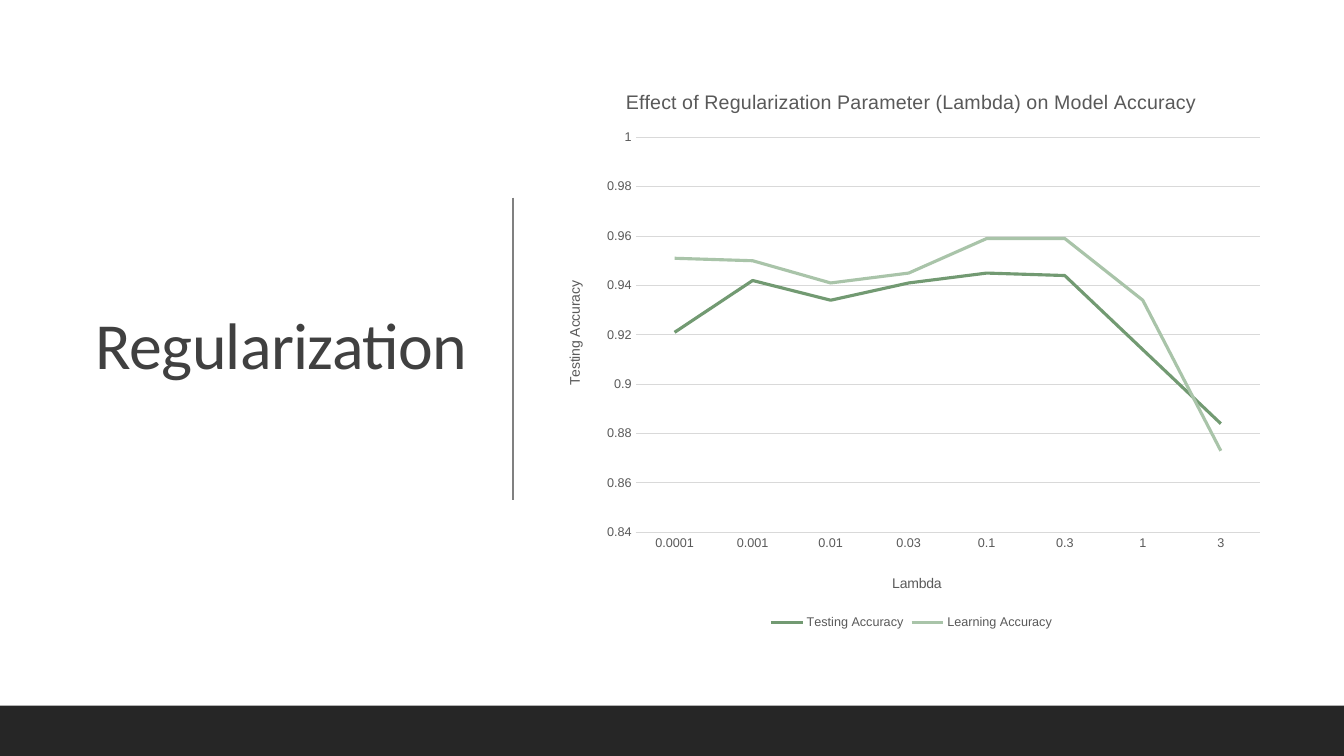
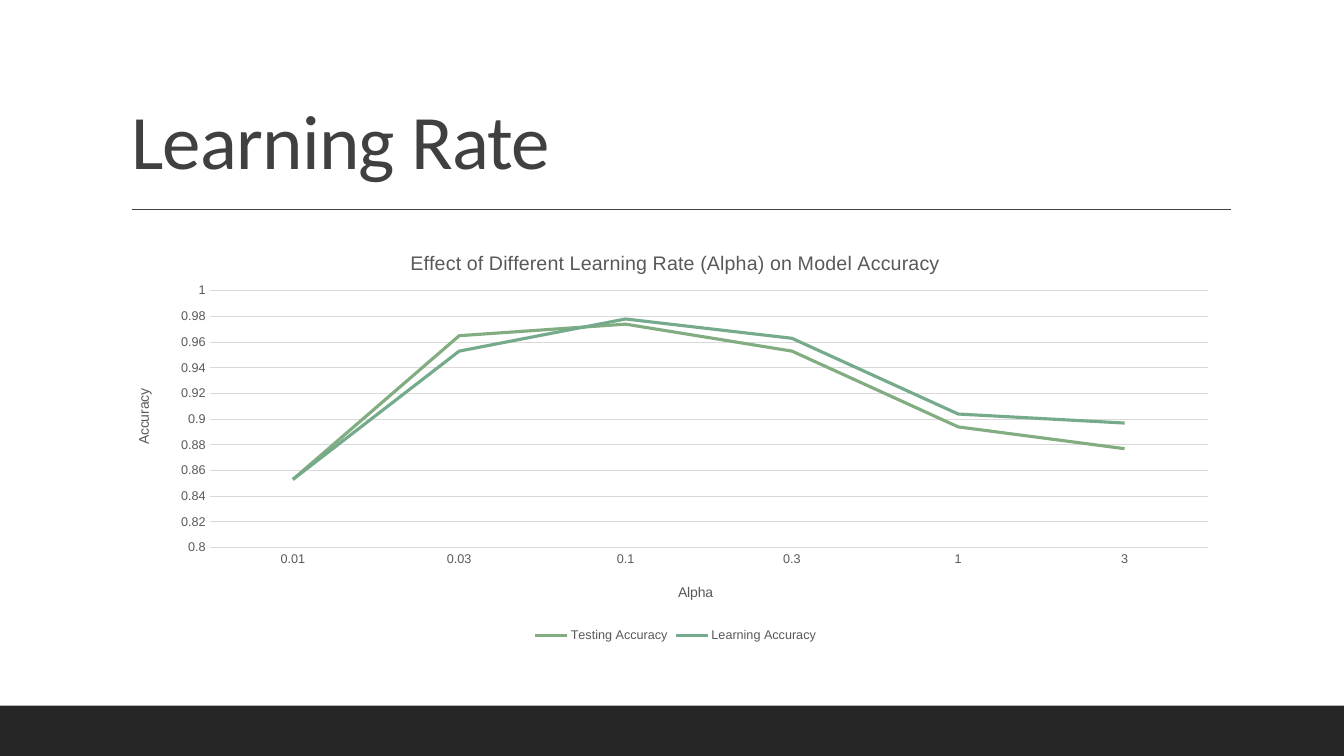
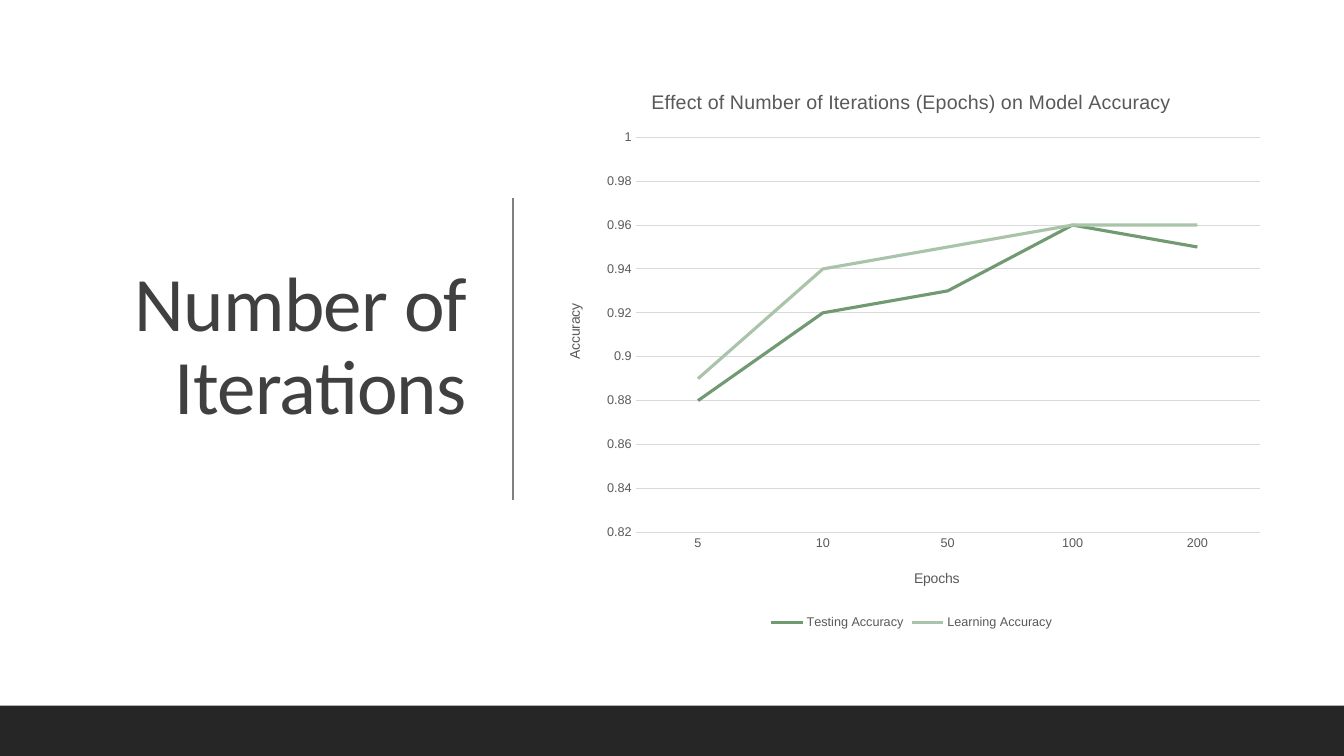
import pptx
import pptx.chart.data
import pptx.dml.color
import pptx.enum.chart
import pptx.enum.shapes
import pptx.enum.text
import pptx.oxml
import pptx.oxml.ns
import pptx.util

Inches = pptx.util.Inches
Pt = pptx.util.Pt
RGBColor = pptx.dml.color.RGBColor
qn = pptx.oxml.ns.qn
ALIGN = pptx.enum.text.PP_ALIGN
ANCHOR = pptx.enum.text.MSO_ANCHOR

INK = RGBColor(0x40, 0x40, 0x40)
RULE_GREY = RGBColor(0x80, 0x80, 0x80)
BAND = RGBColor(0x26, 0x26, 0x26)
CHART_TEXT = RGBColor(0x59, 0x59, 0x59)
GRID = RGBColor(0xD9, 0xD9, 0xD9)
FOREST = RGBColor(0x72, 0x9A, 0x72)
PALE = RGBColor(0xA9, 0xC4, 0xA9)
LEAF = RGBColor(0x81, 0xAD, 0x81)
SEA = RGBColor(0x75, 0xAB, 0x8C)

# Boxes are left, top, width, height; rules are x1, y1, x2, y2 (inches).
SIDE = {
    "title_box": (0.7, 0.69, 4.03, 5.53), "anchor": ANCHOR.MIDDLE, "align": ALIGN.RIGHT,
    "rule": (5.09, 1.96, 5.09, 4.96), "rule_color": RULE_GREY,
    "chart_box": (5.44, 0.69, 7.2, 5.6), "plot": (0.12, 0.12, 0.86, 0.7),
    "colors": (FOREST, PALE),
}
TOP = {
    "title_box": (1.2, 0.31, 11, 1.59), "anchor": ANCHOR.BOTTOM, "align": ALIGN.LEFT,
    "rule": (1.31, 2.08, 12.21, 2.08), "rule_color": INK,
    "chart_box": (1.2, 2.31, 11, 4.11), "plot": (0.08, 0.14, 0.9, 0.62),
    "colors": (LEAF, SEA),
}

# Axis titles carry their position as fractions of the chart.
SLIDES = [
    {"design": SIDE, "title": "Regularization", "size": 47,
     "chart_title": "Effect of Regularization Parameter (Lambda) on Model Accuracy",
     "x_title": ("Lambda", 0.47, 0.89), "y_title": ("Testing Accuracy", 0.02, 0.37),
     "minimum": 0.84,
     "categories": ["0.0001", "0.001", "0.01", "0.03", "0.1", "0.3", "1", "3"],
     "testing": [0.921, 0.942, 0.934, 0.941, 0.945, 0.944, 0.914, 0.884],
     "learning": [0.951, 0.95, 0.941, 0.945, 0.959, 0.959, 0.934, 0.873]},
    {"design": TOP, "title": "Learning Rate", "size": 55,
     "chart_title": "Effect of Different Learning Rate (Alpha) on Model Accuracy",
     "x_title": ("Alpha", 0.5, 0.84), "y_title": ("Accuracy", 0.01, 0.37),
     "minimum": 0.8,
     "categories": ["0.01", "0.03", "0.1", "0.3", "1", "3"],
     "testing": [0.853, 0.965, 0.974, 0.953, 0.894, 0.877],
     "learning": [0.853, 0.953, 0.978, 0.963, 0.904, 0.897]},
    {"design": SIDE, "title": "Number of Iterations", "size": 55,
     "chart_title": "Effect of Number of Iterations (Epochs) on Model Accuracy",
     "x_title": ("Epochs", 0.5, 0.88), "y_title": ("Accuracy", 0.02, 0.41),
     "minimum": 0.82,
     "categories": ["5", "10", "50", "100", "200"],
     "testing": [0.88, 0.92, 0.93, 0.96, 0.95],
     "learning": [0.89, 0.94, 0.95, 0.96, 0.96]},
]


def place_in_chart(element, **settings):
    """Give a chart part a manual layout, in fractions of the chart."""
    for old in element.findall(qn("c:layout")):
        element.remove(old)
    layout = pptx.oxml.parse_xml(
        f'<c:layout {pptx.oxml.ns.nsdecls("c")}><c:manualLayout/></c:layout>')
    for tag, value in settings.items():
        setting = layout[0].makeelement(qn(f"c:{tag}"), {"val": str(value)})
        layout[0].append(setting)
    text = element.find(qn("c:tx"))
    element.insert(0 if text is None else element.index(text) + 1, layout)


def write_chart_title(holder, text, size):
    holder.has_text_frame = True
    holder.text_frame.text = text
    font = holder.text_frame.paragraphs[0].font
    font.name, font.size, font.bold = "Arial", Pt(size), False
    font.color.rgb = CHART_TEXT


prs = pptx.Presentation()
prs.slide_width, prs.slide_height = Inches(13.33), Inches(7.5)

for content in SLIDES:
    design = content["design"]
    slide = prs.slides.add_slide(prs.slide_layouts[5])

    title = slide.shapes.title
    title.left, title.top, title.width, title.height = map(Inches, design["title_box"])
    title.text = content["title"]
    title.text_frame.word_wrap = True
    title.text_frame.auto_size = pptx.enum.text.MSO_AUTO_SIZE.NONE
    title.text_frame.vertical_anchor = design["anchor"]
    heading = title.text_frame.paragraphs[0]
    heading.alignment = design["align"]
    heading.line_spacing = 0.9
    heading.font.name, heading.font.size = "Calibri", Pt(content["size"])
    heading.font.color.rgb = INK
    heading.runs[0].font._element.set("spc", "-50")

    rule = slide.shapes.add_connector(
        pptx.enum.shapes.MSO_CONNECTOR.STRAIGHT, *map(Inches, design["rule"]))
    rule.line.color.rgb = design["rule_color"]
    rule.line.width = Pt(1)
    rule_properties = rule._element.spPr
    rule_properties.append(rule_properties.makeelement(qn("a:effectLst"), {}))

    band = slide.shapes.add_shape(
        pptx.enum.shapes.MSO_SHAPE.RECTANGLE, 0, Inches(7), prs.slide_width, Inches(0.5))
    band.shadow.inherit = False
    band.fill.solid()
    band.fill.fore_color.rgb = BAND
    band.line.fill.background()

    data = pptx.chart.data.CategoryChartData()
    data.categories = content["categories"]
    data.add_series("Testing Accuracy", content["testing"])
    data.add_series("Learning Accuracy", content["learning"])
    chart = slide.shapes.add_chart(
        pptx.enum.chart.XL_CHART_TYPE.LINE, *map(Inches, design["chart_box"]), data).chart
    chart.font.name, chart.font.size = "Arial", Pt(9)
    chart.font.color.rgb = CHART_TEXT
    chart.has_title = True
    write_chart_title(chart.chart_title, content["chart_title"], 14)
    chart.has_legend = True
    chart.legend.position = pptx.enum.chart.XL_LEGEND_POSITION.BOTTOM
    chart.legend.include_in_layout = False

    x, y, width, height = design["plot"]
    place_in_chart(chart.element.find(".//" + qn("c:plotArea")), layoutTarget="inner",
                   xMode="edge", yMode="edge", x=x, y=y, w=width, h=height)

    for axis, (text, x, y) in ((chart.category_axis, content["x_title"]),
                               (chart.value_axis, content["y_title"])):
        write_chart_title(axis.axis_title, text, 10)
        place_in_chart(axis.axis_title.element, xMode="edge", yMode="edge", x=x, y=y)
        axis.major_tick_mark = axis.minor_tick_mark = pptx.enum.chart.XL_TICK_MARK.NONE

    chart.category_axis.format.line.color.rgb = GRID
    chart.category_axis.format.line.width = Pt(0.75)
    accuracy = chart.value_axis
    accuracy.minimum_scale, accuracy.maximum_scale = content["minimum"], 1
    accuracy.major_unit = 0.02
    accuracy.format.line.fill.background()
    accuracy.major_gridlines.format.line.color.rgb = GRID
    accuracy.major_gridlines.format.line.width = Pt(0.75)

    chart.plots[0].vary_by_categories = False
    for series, color in zip(chart.plots[0].series, design["colors"]):
        series.smooth = False
        series.format.line.color.rgb = color
        series.format.line.width = Pt(2.25)

prs.save("out.pptx")
